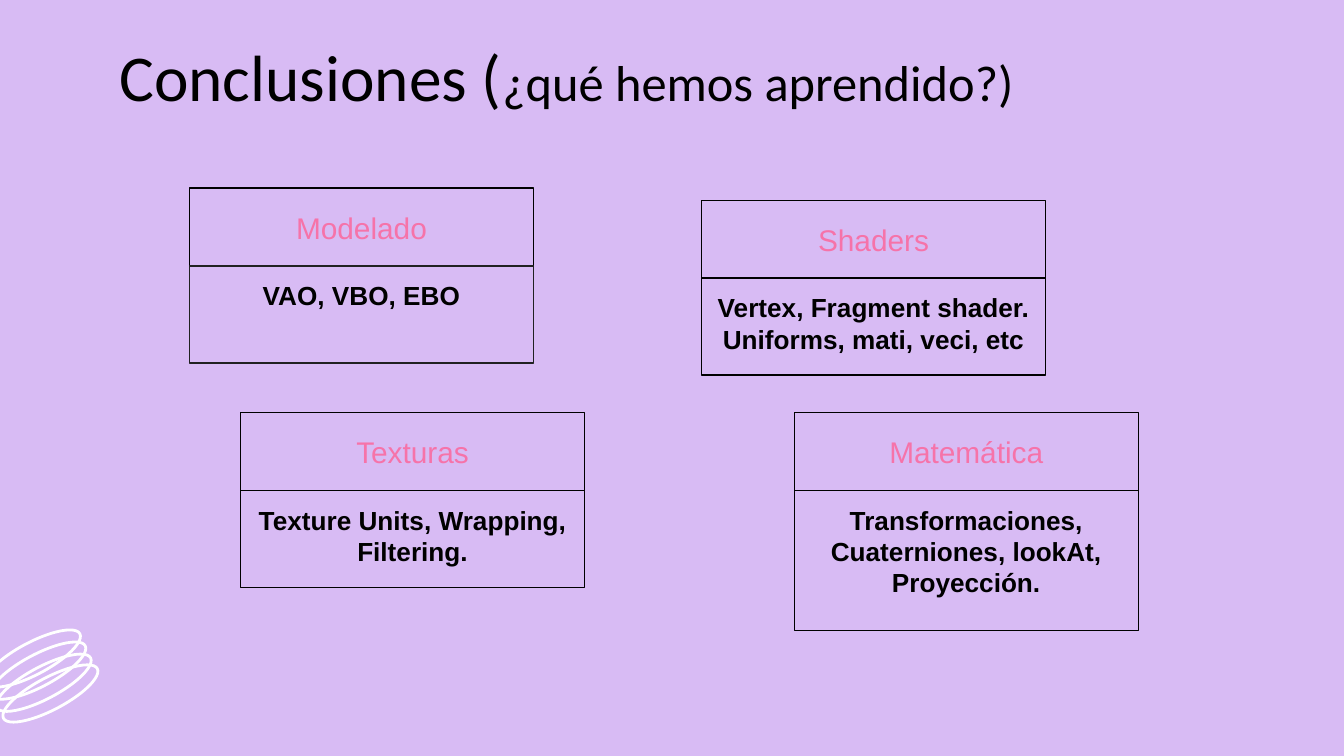
from dataclasses import dataclass

from pptx import Presentation
from pptx.dml.color import RGBColor
from pptx.enum.shapes import MSO_SHAPE
from pptx.enum.text import MSO_ANCHOR, PP_ALIGN
from pptx.util import Inches, Pt


@dataclass(frozen=True)
class Theme:
    background: str = "D8BBF4"
    ink: str = "000000"
    soft_ink: str = "212121"
    accent: str = "F673A9"
    scribble: str = "FFFFFF"
    title_font: str = "Calibri"
    body_font: str = "Arial"
    title_size: float = 35
    question_size: float = 27
    heading_size: float = 16
    detail_size: float = 14
    border: float = 0.75
    stroke: float = 1.5


class SlideBuilder:
    def __init__(self, slide, theme):
        self.slide = slide
        self.theme = theme
        fill = slide.background.fill
        fill.solid()
        fill.fore_color.rgb = RGBColor.from_string(theme.background)

    def outline(self, kind, left, top, width, height, color, weight):
        shape = self.slide.shapes.add_shape(
            kind, Inches(left), Inches(top), Inches(width), Inches(height))
        shape.shadow.inherit = False
        shape.fill.background()
        shape.line.color.rgb = RGBColor.from_string(color)
        shape.line.width = Pt(weight)
        return shape

    def frame(self, shape, anchor):
        frame = shape.text_frame
        frame.word_wrap = True
        frame.vertical_anchor = anchor
        frame.margin_left = frame.margin_right = Inches(0.1)
        frame.margin_top = frame.margin_bottom = Inches(0.1)
        return frame

    def scribble(self, left, top):
        ring = self.outline(MSO_SHAPE.OVAL, left, top, 0.79, 0.24,
                            self.theme.scribble, self.theme.stroke)
        ring.rotation = 152.1

    def title(self, heading, question):
        box = self.slide.shapes.add_textbox(
            Inches(0.79), Inches(0.32), Inches(8.43), Inches(0.63))
        paragraph = self.frame(box, MSO_ANCHOR.BOTTOM).paragraphs[0]
        paragraph.font.name = self.theme.title_font
        paragraph.font.color.rgb = RGBColor.from_string(self.theme.ink)
        for words, size in ((heading, self.theme.title_size),
                            (question, self.theme.question_size)):
            run = paragraph.add_run()
            run.text = words
            run.font.size = Pt(size)

    def cell(self, words, left, top, height, border, anchor, color, size, bold):
        box = self.outline(MSO_SHAPE.RECTANGLE, left, top, 2.56, height,
                           border, self.theme.border)
        paragraph = self.frame(box, anchor).paragraphs[0]
        paragraph.text = words
        paragraph.alignment = PP_ALIGN.CENTER
        font = paragraph.font
        font.name = self.theme.body_font
        font.size = Pt(size)
        font.bold = bold
        font.color.rgb = RGBColor.from_string(color)
        return paragraph

    def card(self, heading, detail, left, top, detail_height, detail_border):
        theme = self.theme
        heading_height = 0.58
        self.cell(heading, left, top, heading_height, theme.ink,
                  MSO_ANCHOR.MIDDLE, theme.accent, theme.heading_size, False)
        paragraph = self.cell(
            detail, left, top + heading_height, detail_height, detail_border,
            MSO_ANCHOR.TOP, theme.ink, theme.detail_size, True)
        paragraph.space_after = Pt(16)


def main():
    deck = Presentation()
    deck.slide_width = Inches(10)
    deck.slide_height = Inches(10) * 9 // 16
    theme = Theme()
    builder = SlideBuilder(deck.slides.add_slide(deck.slide_layouts[6]), theme)

    for left, top in ((-0.02, 5.04), (-0.07, 4.96), (-0.11, 4.87), (-0.15, 4.78)):
        builder.scribble(left, top)

    builder.title("Conclusiones (", "¿qué hemos aprendido?)")

    topics = (
        ("Modelado", "VAO, VBO, EBO", 1.41, 1.4, 0.72, theme.soft_ink),
        ("Shaders", "Vertex, Fragment shader. Uniforms, mati, veci, etc",
         5.22, 1.49, 0.72, theme.ink),
        ("Texturas", "Texture Units, Wrapping, Filtering.",
         1.79, 3.07, 0.72, theme.ink),
        ("Matemática", "Transformaciones, Cuaterniones, lookAt, Proyección.",
         5.91, 3.07, 1.04, theme.ink),
    )
    for topic in topics:
        builder.card(*topic)

    deck.save("out.pptx")


if __name__ == "__main__":
    main()
